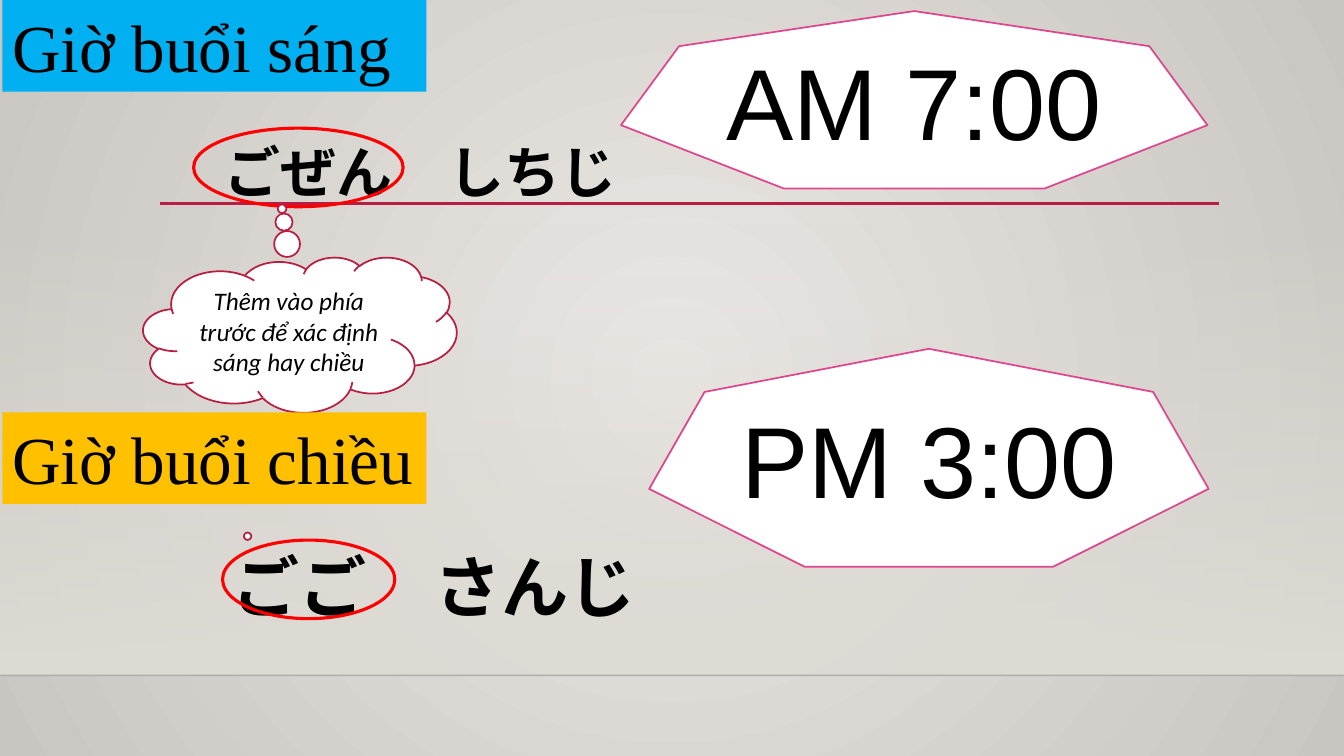
from lxml import etree
from pptx import Presentation
from pptx.dml.color import RGBColor
from pptx.enum import shapes, text
from pptx.oxml import ns, parse_xml
from pptx.util import Cm, Pt

HUES = {"ink": "000000", "white": "FFFFFF", "red": "FF0000", "wine": "B71E42",
        "pink": "DE478E", "blue": "00B0F0", "gold": "FFC000", "light": "EBE9E6",
        "dark": "C9C5C0", "sand": "DFDBD5", "edge": "000001"}
WIDE, HIGH = 33.87, 19.05
KIND = shapes.MSO_SHAPE


def hue(name):
    return RGBColor.from_string(HUES[name])


def fade(fill, names):
    """Give a fill two gradient stops."""
    fill.gradient()
    for stop, name in zip(fill.gradient_stops, names):
        stop.color.rgb = hue(name)


def veil(color, part):
    """Make a solid or stop colour see-through; part is in percent."""
    alpha = etree.SubElement(color, ns.qn("a:alpha"))
    alpha.set("val", str(part * 1000))


def draw(slide, kind, box, fill=None, line=None, width=1.25):
    shape = slide.shapes.add_shape(kind, *map(Cm, box))
    shape.shadow.inherit = False
    if fill:
        shape.fill.solid()
        shape.fill.fore_color.rgb = hue(fill)
    else:
        shape.fill.background()
    if line:
        shape.line.color.rgb = hue(line)
        shape.line.width = Pt(width)
    else:
        shape.line.fill.background()
    return shape


def write(shape, words, size, font="Arial", center=False, bold=False, slant=False):
    frame = shape.text_frame
    frame.word_wrap = True
    frame.text = words
    para = frame.paragraphs[0]
    para.alignment = text.PP_ALIGN.CENTER if center else text.PP_ALIGN.LEFT
    face = para.runs[0].font
    face.name, face.size = font, Pt(size)
    face.bold, face.italic = bold, slant
    face.color.rgb = hue("ink")


def rule(slide, left, right, y, color, width):
    line = slide.shapes.add_connector(shapes.MSO_CONNECTOR.STRAIGHT,
                                      Cm(left), Cm(y), Cm(right), Cm(y))
    line.line.color.rgb = hue(color)
    line.line.width = Pt(width)
    etree.SubElement(line._element.spPr, ns.qn("a:effectLst"))
    return line


def stage(slide):
    # Round glow behind everything
    fill = slide.background.fill
    fade(fill, ("light", "dark"))
    grad = slide._element.find(".//" + ns.qn("a:gradFill"))
    grad.replace(grad.find(ns.qn("a:lin")), parse_xml(
        f'<a:path {ns.nsdecls("a")} path="circle">'
        '<a:fillToRect l="50000" t="50000" r="50000" b="50000"/></a:path>'))

    # Wall that fades in down to the floor edge
    floor = 17.02
    wall = draw(slide, KIND.RECTANGLE, (0, 5.61, WIDE, floor - 5.61))
    fade(wall.fill, ("sand", "sand"))
    wall.fill.gradient_angle = 270
    veil(wall._element.find(".//" + ns.qn("a:srgbClr")), 0)
    edge = rule(slide, 0, WIDE, floor, "edge", 1)
    veil(edge._element.find(".//" + ns.qn("a:srgbClr")), 20)
    rule(slide, 4.04, 30.73, 5.13, "wine", 2.5)


def half(slide, top, title, color, clock, sign, kana, size, label, ring):
    """One part of the day; the boxes are measured from its top."""
    def place(box):
        left, y, width, height = box
        return left, top + y, width, height

    # Clock time
    shape = draw(slide, KIND.HEPTAGON, place(sign), "white", "pink")
    write(shape, clock, 72, center=True)

    # Reading, with its prefix ringed
    shape = slide.shapes.add_textbox(*map(Cm, place(label)))
    write(shape, kana, size, bold=True)
    draw(slide, KIND.OVAL, place(ring), line="red", width=2.25)

    # Heading
    shape = draw(slide, KIND.RECTANGLE, place((0.06, 0, 10.69, 2.31)), color)
    write(shape, title, 48, "Times New Roman")


def cloud(slide, box, tail, words=None):
    shape = draw(slide, KIND.CLOUD_CALLOUT, box, "white", "wine")
    shape.adjustments[0], shape.adjustments[1] = tail
    if words:
        write(shape, words, 18, "Calibri", center=True, slant=True)


def main():
    deck = Presentation()
    deck.slide_width, deck.slide_height = Cm(WIDE), Cm(HIGH)
    slide = deck.slides.add_slide(deck.slide_layouts[6])
    stage(slide)

    half(slide, 0, "Giờ buổi sáng", "blue", "AM 7:00", (15.65, 0.28, 14.78, 4.47),
         "ごぜん　しちじ", 40, (5.41, 3.35, 11.79, 1.96), (4.88, 3.23, 5.28, 1.98))

    # Note pointing at both prefixes
    cloud(slide, (3.99, 6.71, 6.68, 3.35), (-0.163, 1.531))
    cloud(slide, (3.61, 6.48, 7.9, 3.91), (-0.057, -0.812),
          "Thêm vào phía trước để xác định sáng hay chiều")

    half(slide, 10.39, "Giờ buổi chiều", "gold", "PM 3:00", (16.36, -1.6, 14.1, 5.49),
         "ごご　さんじ", 48, (5.61, 3.22, 11.79, 2.31), (5.61, 3.22, 4.34, 1.98))

    deck.save("out.pptx")


if __name__ == "__main__":
    main()
